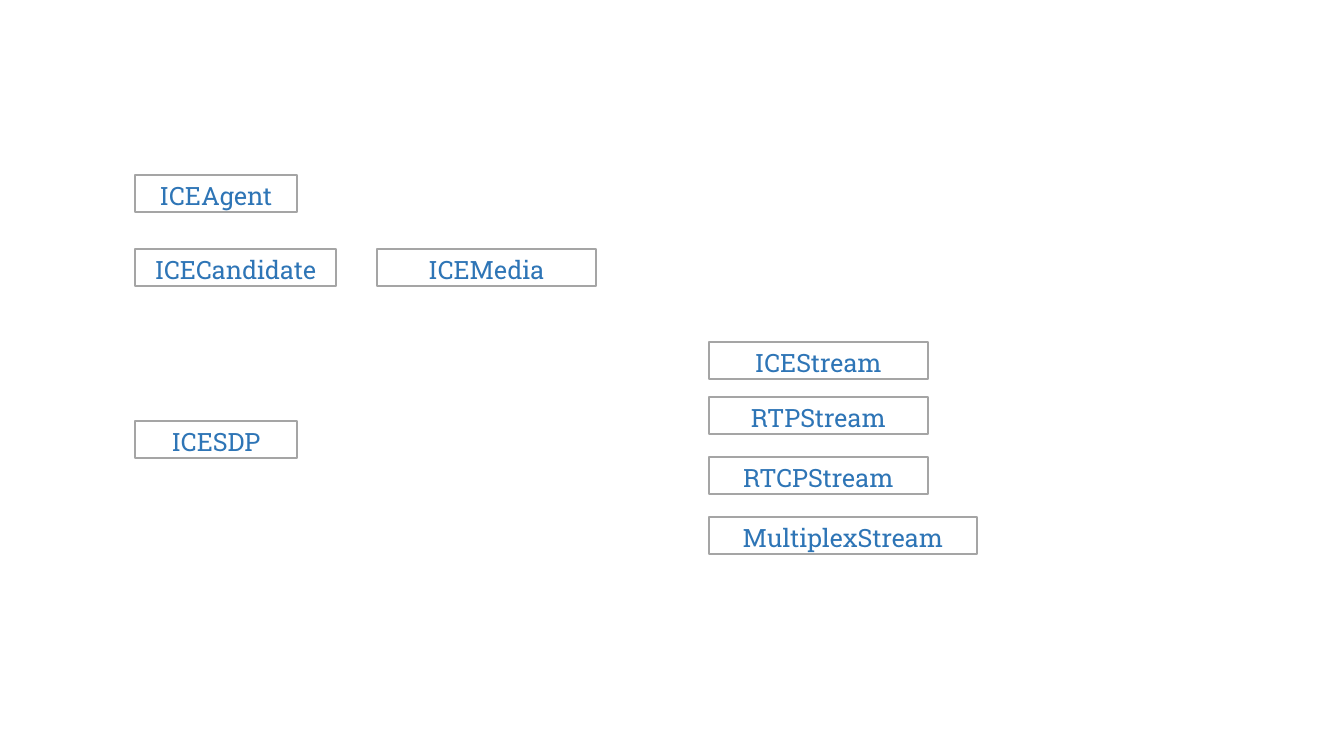
from pptx import Presentation
from pptx.dml.color import RGBColor
from pptx.enum.shapes import MSO_SHAPE as Shape
from pptx.enum.text import MSO_ANCHOR as Anchor, PP_ALIGN as Align
from pptx.util import Pt

PX = 914400 / 100.8  # EMU in one px
HIGH = 37  # height of every class box


def px(n):
    return round(n * PX)


def color(code):
    return RGBColor.from_string(code)


def label(slide, text, x, y, wide):
    """Outlined box with a class name."""
    box = slide.shapes.add_shape(Shape.RECTANGLE, px(x), px(y), px(wide), px(HIGH))
    box.shadow.inherit = False
    box.fill.background()
    box.line.color.rgb = color("A5A5A5")
    box.line.width = Pt(1.25)
    frame = box.text_frame
    frame.word_wrap = True
    frame.vertical_anchor = Anchor.TOP
    para = frame.paragraphs[0]
    para.text = text
    para.alignment = Align.CENTER
    para.font.name = "Roboto Slab"
    para.font.size = Pt(18)
    para.font.color.rgb = color("2E75B6")


def agent(slide, x, y):
    """Agent, its candidate and media, and the SDP."""
    label(slide, "ICEAgent", x, y, 162)
    label(slide, "ICEMedia", x + 242, y + 74, 219)
    label(slide, "ICECandidate", x, y + 74, 201)
    label(slide, "ICESDP", x, y + 246, 162)


def streams(slide, x, y):
    """Column of stream classes."""
    rows = [
        ("ICEStream", 0, 219),
        ("RTPStream", 55, 219),
        ("RTCPStream", 115, 219),
        ("MultiplexStream", 175, 268),
    ]
    for text, down, wide in rows:
        label(slide, text, x, y + down, wide)


def main():
    deck = Presentation()
    deck.slide_width, deck.slide_height = px(1344), px(756)
    slide = deck.slides.add_slide(deck.slide_layouts[6])
    agent(slide, 135, 175)
    streams(slide, 709, 342)
    deck.save("out.pptx")


if __name__ == "__main__":
    main()
